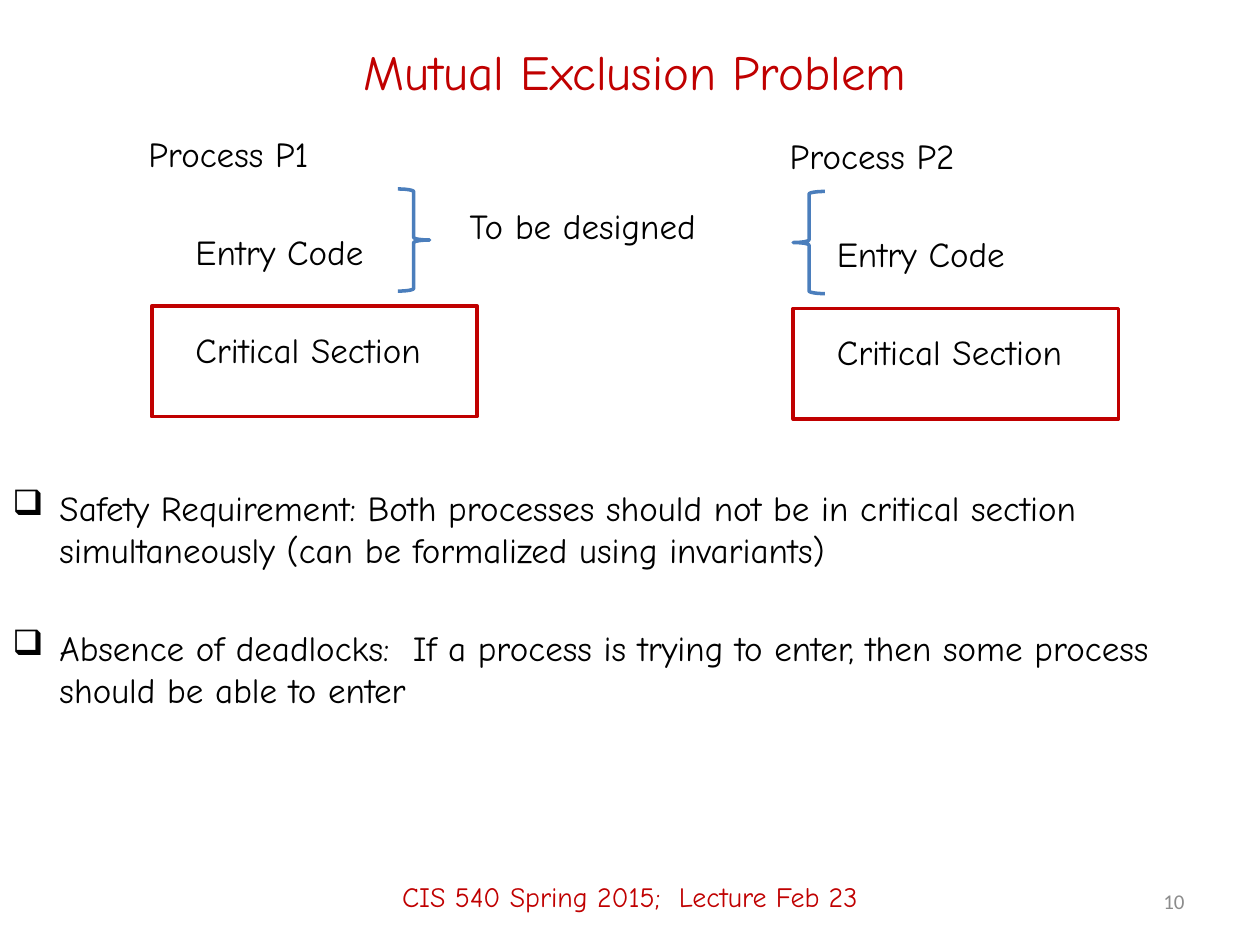
from lxml.etree import SubElement
from pptx import Presentation
from pptx.dml.color import RGBColor
from pptx.enum.shapes import MSO_SHAPE
from pptx.enum.text import MSO_ANCHOR, PP_ALIGN
from pptx.oxml.ns import qn
from pptx.util import Cm, Pt

FONT = "Comic Neue"
BLACK, RED, BLUE, GREY = "000000", "C00000", "4B7EBC", "8C8C8C"
INDENT = 0.95


def color(value):
    return RGBColor.from_string(value)


def format_para(para, size=20, ink=BLACK, font=FONT, align=PP_ALIGN.LEFT):
    para.alignment = align
    for span in para.runs:
        span.font.size = Pt(size)
        span.font.name = font
        span.font.color.rgb = color(ink)


def add_text(page, left, top, width, height, lines, anchor=MSO_ANCHOR.TOP, **style):
    box = page.shapes.add_textbox(Cm(left), Cm(top), Cm(width), Cm(height))
    frame = box.text_frame
    frame.word_wrap = True
    frame.vertical_anchor = anchor
    frame.text = "\n".join(lines)
    for para in frame.paragraphs:
        format_para(para, **style)
    # Entries after the first stand one blank line apart
    for para in frame.paragraphs[1:]:
        para.space_before = Pt(32)
    return frame


def set_indent(para, bullet=None):
    properties = para._p.get_or_add_pPr()
    properties.set("marL", str(Cm(INDENT)))
    if bullet:
        properties.set("indent", str(-Cm(INDENT)))
        SubElement(properties, qn("a:buChar")).set("char", bullet)


def add_outline(page, kind, left, top, width, height, ink):
    shape = page.shapes.add_shape(kind, Cm(left), Cm(top), Cm(width), Cm(height))
    shape.shadow.inherit = False
    shape.fill.background()
    shape.line.color.rgb = color(ink)
    shape.line.width = Pt(2)


def add_title(page, left, top, width, height):
    title = page.shapes.title
    title.left, title.top = Cm(left), Cm(top)
    title.width, title.height = Cm(width), Cm(height)
    title.text_frame.text = "Mutual Exclusion Problem"
    title.text_frame.vertical_anchor = MSO_ANCHOR.MIDDLE
    format_para(title.text_frame.paragraphs[0], 28, RED, align=PP_ALIGN.CENTER)


def add_process(page, left, top, name, brace, brace_offset):
    # Critical section frame and entry code brace
    add_outline(page, MSO_SHAPE.RECTANGLE, left + 0.32, top + 3.63, 6.56, 2.23, RED)
    add_outline(page, brace, left + brace_offset, top + 1.27, 0.64, 2.06, BLUE)
    # Steps of the process
    frame = add_text(page, left, top, 8.46, 6.68,
                     [name, "Entry Code", "Critical Section"])
    for para in frame.paragraphs[1:]:
        set_indent(para)


def add_requirements(page, left, top, width, height):
    frame = add_text(page, left, top, width, height, [
        "Safety Requirement: Both processes should not be in critical section "
        "simultaneously (can be formalized using invariants)",
        "Absence of deadlocks:  If a process is trying to enter, then some process "
        "should be able to enter",
    ])
    for para in frame.paragraphs:
        set_indent(para, "❑")


def add_footer(page, left, top, width, height):
    add_text(page, left, top, width, height, ["CIS 540 Spring 2015;  Lecture Feb 23"],
             MSO_ANCHOR.MIDDLE, size=16, ink=RED, align=PP_ALIGN.CENTER)
    # Page number
    add_text(page, left + 18.21, top + 0.58, 5.92, 1.02, ["10"],
             MSO_ANCHOR.MIDDLE, size=12, ink=GREY, font="Calibri", align=PP_ALIGN.RIGHT)


def main():
    deck = Presentation()
    deck.slide_width, deck.slide_height = Cm(25.4), Cm(19.05)
    page = deck.slides.add_slide(deck.slide_layouts[5])
    add_title(page, 1.9, 0.43, 21.8, 1.98)
    add_requirements(page, 0, 9.68, 25.4, 6.2)
    add_process(page, 2.74, 2.54, "Process P1", MSO_SHAPE.RIGHT_BRACE, 5.28)
    add_process(page, 15.67, 2.59, "Process P2", MSO_SHAPE.LEFT_BRACE, 0.32)
    # Label between the two braces
    add_text(page, 9.22, 3.99, 6.78, 1.7, ["To be designed"])
    add_footer(page, 0, 17.07, 25.4, 1.98)
    deck.save("out.pptx")


if __name__ == "__main__":
    main()
